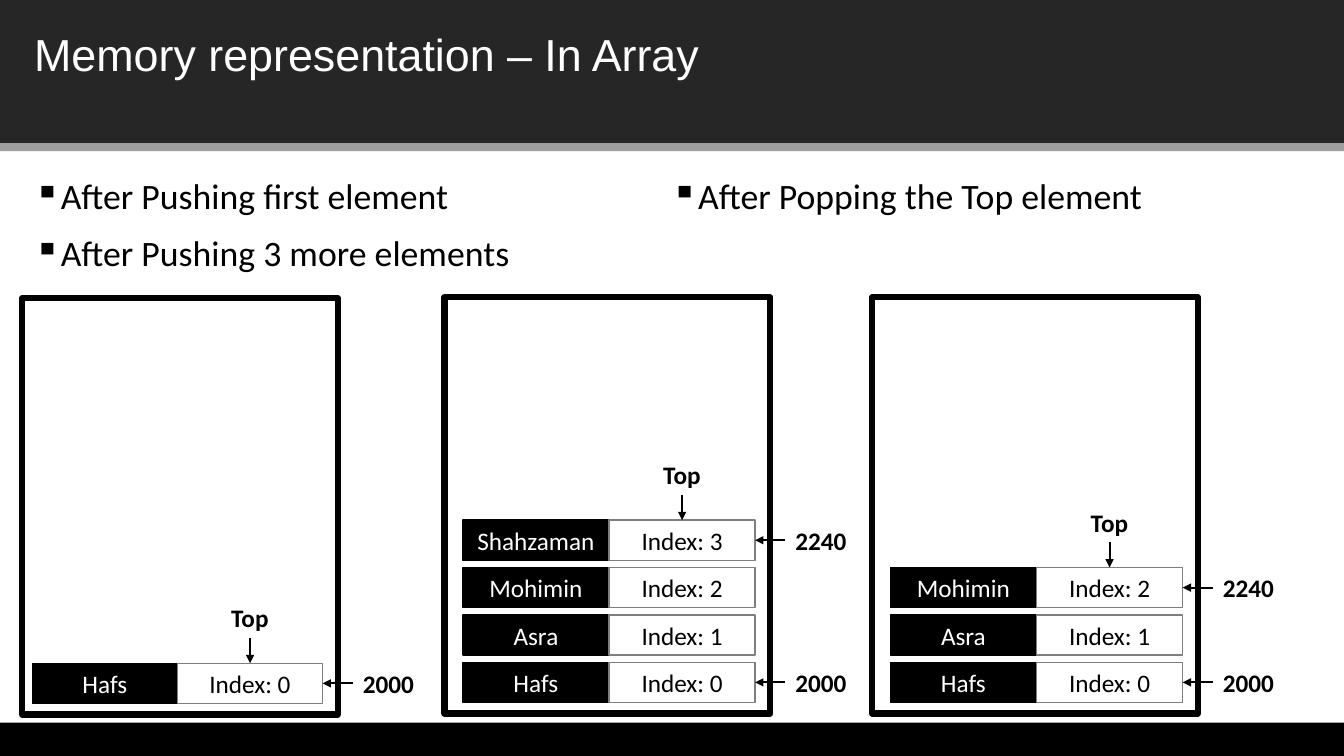
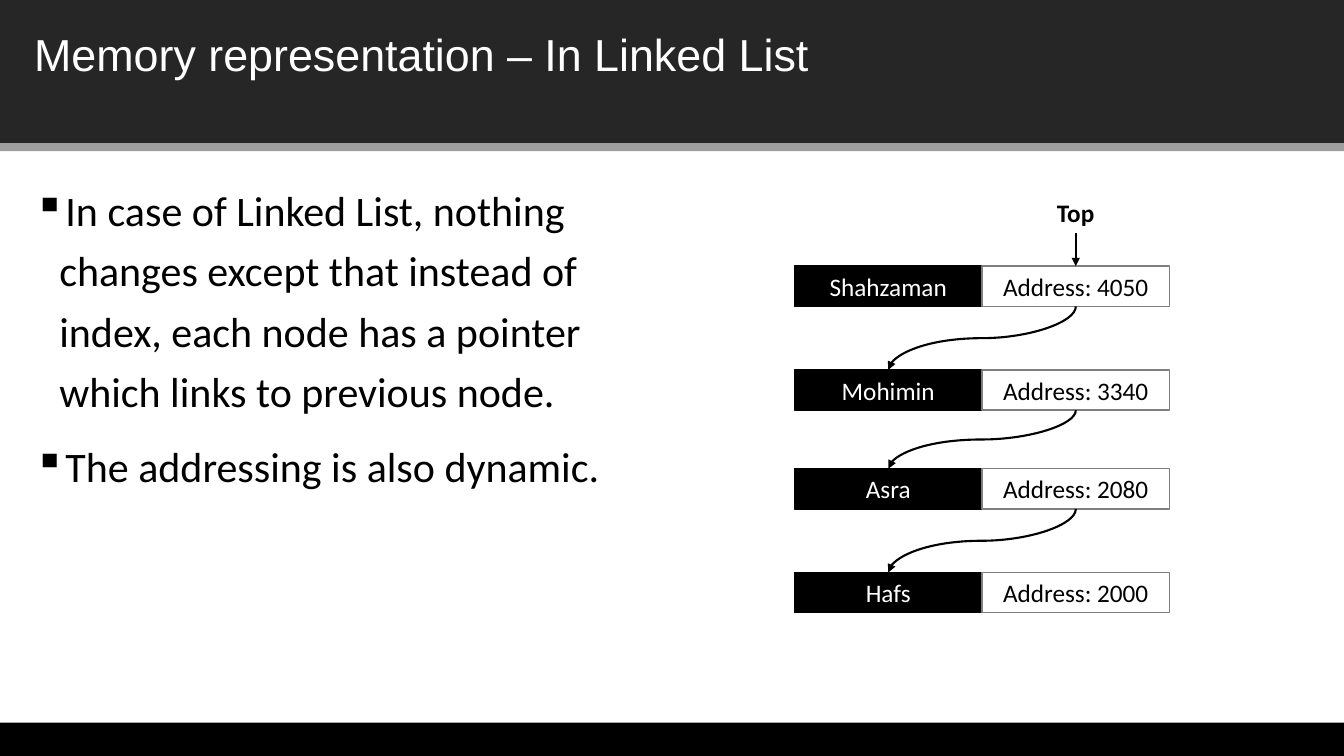
from dataclasses import dataclass

from lxml import etree
from pptx import Presentation
from pptx.dml.color import RGBColor
from pptx.enum.shapes import MSO_CONNECTOR, MSO_SHAPE
from pptx.enum.text import MSO_ANCHOR, PP_ALIGN
from pptx.oxml.ns import qn
from pptx.shapes.autoshape import Shape
from pptx.shapes.connector import Connector
from pptx.slide import Slide
from pptx.util import Inches, Pt

RECT = MSO_SHAPE.RECTANGLE
LINE, CURVE = MSO_CONNECTOR.STRAIGHT, MSO_CONNECTOR.CURVE
MID, CENTER = MSO_ANCHOR.MIDDLE, PP_ALIGN.CENTER
TOP, LEFT, BOTTOM, RIGHT = range(4)


@dataclass(frozen=True)
class Theme:
    black: RGBColor = RGBColor(0, 0, 0)
    white: RGBColor = RGBColor(255, 255, 255)
    dark: RGBColor = RGBColor(0x26, 0x26, 0x26)
    band: RGBColor = RGBColor(0x9F, 0x9F, 0x9F)
    edge: RGBColor = RGBColor(0x7F, 0x7F, 0x7F)
    head: str = "Arial"
    body: str = "Calibri"
    title: float = 32
    label: float = 18
    thin: float = 1
    arrow: float = 1.5
    frame: float = 4.5


@dataclass(frozen=True)
class Stack:
    """An array in memory: left edges, widths, and its names from the bottom up."""
    left: float
    top: float
    width: float
    cell: float
    side: float
    names: tuple[str, ...]
    tags: tuple[str, ...]


@dataclass(frozen=True)
class Node:
    name: str
    address: str
    top: float


T = Theme()
WIDE, HIGH = 13.33, 7.5
ROW, STEP = 0.4, 0.47

STACKS = (
    Stack(0.22, 2.96, 3.13, 0.32, 1.44, ("Hafs",), ("2000",)),
    Stack(4.41, 2.95, 3.23, 4.59, 1.45,
          ("Hafs", "Asra", "Mohimin", "Shahzaman"), ("2000", "2240")),
    Stack(8.65, 2.95, 3.23, 8.83, 1.45,
          ("Hafs", "Asra", "Mohimin"), ("2000", "2240")),
)
NODES = (
    Node("Shahzaman", "4050", 2.64),
    Node("Mohimin", "3340", 3.67),
    Node("Asra", "2080", 4.65),
    Node("Hafs", "2000", 5.68),
)


def write(par, text: str, size: float, color: RGBColor,
          font: str = T.body, bold: bool = False) -> None:
    run = par.add_run()
    run.text = text
    run.font.name, run.font.size, run.font.bold = font, Pt(size), bold
    run.font.color.rgb = color


def rect(slide: Slide, x: float, y: float, w: float, h: float,
         fill: RGBColor | None, edge: RGBColor | None = None,
         weight: float = T.thin) -> Shape:
    box = slide.shapes.add_shape(RECT, Inches(x), Inches(y), Inches(w), Inches(h))
    box.shadow.inherit = False
    if fill is None:
        box.fill.background()
    else:
        box.fill.solid()
        box.fill.fore_color.rgb = fill
    if edge is None:
        box.line.fill.background()
    else:
        box.line.color.rgb = edge
        box.line.width = Pt(weight)
    return box


def text_box(slide: Slide, x: float, y: float, w: float, h: float,
             wrap: bool = True) -> Shape:
    box = slide.shapes.add_textbox(Inches(x), Inches(y), Inches(w), Inches(h))
    box.text_frame.word_wrap = wrap
    return box


def pair(slide: Slide, x: float, y: float, side: float,
         name: str, place: str) -> tuple[Shape, Shape]:
    """Draw a black name cell and, to its right, a white cell for its place."""
    cells = (
        rect(slide, x, y, side, ROW, T.black, T.black),
        rect(slide, x + side, y, side, ROW, T.white, T.edge),
    )
    for cell, text, color in zip(cells, (name, place), (T.white, T.black)):
        frame = cell.text_frame
        frame.word_wrap, frame.vertical_anchor = True, MID
        frame.paragraphs[0].alignment = CENTER
        write(frame.paragraphs[0], text, T.label, color)
    return cells


def join(slide: Slide, kind: MSO_CONNECTOR, start: Shape, out: int,
         end: Shape, into: int) -> Connector:
    """Draw an arrow from one side of a shape to a side of another."""
    link = slide.shapes.add_connector(kind, 0, 0, 0, 0)
    link.begin_connect(start, out)
    link.end_connect(end, into)
    link.line.color.rgb = T.black
    link.line.width = Pt(T.arrow)
    etree.SubElement(link.line._get_or_add_ln(), qn("a:tailEnd"), type="triangle")
    etree.SubElement(link._element.spPr, qn("a:effectLst"))
    return link


def curve(slide: Slide, start: Shape, end: Shape) -> None:
    """Draw an arrow that leaves downwards: a quarter turn of the usual curve."""
    link = join(slide, CURVE, start, BOTTOM, end, TOP)
    x, y, w, h = link.left, link.top, link.width, link.height
    link.left, link.top = x + (w - h) // 2, y + (h - w) // 2
    link.width, link.height = h, w
    turn = link._element.spPr.find(qn("a:xfrm"))
    turn.attrib.pop("flipH", None)
    turn.set("rot", "5400000")


def label(slide: Slide, x: float, y: float, w: float, text: str) -> Shape:
    box = text_box(slide, x, y, w, ROW, wrap=False)
    write(box.text_frame.paragraphs[0], text, T.label, T.black, bold=True)
    return box


def mark_top(slide: Slide, cell: Shape, mid: float, y: float) -> None:
    wide = 0.57
    tag = label(slide, mid - wide / 2, y, wide, "Top")
    join(slide, LINE, tag, BOTTOM, cell, TOP)


def bullets(box: Shape, texts: tuple[str, ...], size: float,
            pitch: float = 1) -> None:
    frame = box.text_frame
    for i, text in enumerate(texts):
        par = frame.add_paragraph() if i else frame.paragraphs[0]
        props = par._p.get_or_add_pPr()
        props.set("marL", str(Inches(0.25)))
        props.set("indent", str(Inches(-0.25)))
        etree.SubElement(props, qn("a:buChar"), char="▪")
        par.line_spacing = pitch
        par.space_before = Pt(10 if i else 0)
        write(par, text, size, T.black)


def base(deck, title: str) -> Slide:
    """Add a slide with the shared bands and title."""
    slide = deck.slides.add_slide(deck.slide_layouts[6])
    rect(slide, 0, 0, WIDE, 1.42, T.dark)
    rect(slide, 0, 1.42, WIDE, 0.08, T.band)
    rect(slide, 0, 7.17, WIDE, 0.33, T.black)
    box = text_box(slide, 0.24, 0.22, 12.84, 0.64)
    write(box.text_frame.paragraphs[0], title, T.title, T.white, T.head)
    return slide


def draw_stack(slide: Slide, stack: Stack) -> None:
    low = stack.top + 3.62
    cells = [
        pair(slide, stack.cell, low - i * STEP, stack.side, name, f"Index: {i}")[1]
        for i, name in enumerate(stack.names)
    ]
    rect(slide, stack.left, stack.top, stack.width, 4.13, None, T.black, T.frame)
    last = len(cells) - 1
    edge = stack.cell + 2 * stack.side
    for i, text in zip((0, last), stack.tags):
        tag = label(slide, edge + 0.3, low - i * STEP, 0.71, text)
        join(slide, LINE, tag, LEFT, cells[i], RIGHT)
    mark_top(slide, cells[last], edge - stack.side / 2, low - last * STEP - 0.65)


def array_slide(deck) -> None:
    slide = base(deck, "Memory representation – In Array")
    box = text_box(slide, 0.24, 1.68, 12.84, 1.13)
    box.text_frame._txBody.bodyPr.set("numCol", "2")
    bullets(box, (
        "After Pushing first element",
        "After Pushing 3 more elements",
        "After Popping the Top element",
    ), 25.5)
    for stack in STACKS:
        draw_stack(slide, stack)


def list_slide(deck) -> None:
    slide = base(deck, "Memory representation – In Linked List")
    bullets(text_box(slide, 0.24, 1.68, 6.43, 5.31), (
        "In case of Linked List, nothing changes except that instead of index, "
        "each node has a pointer which links to previous node.",
        "The addressing is also dynamic.",
    ), 30, 1.2)
    left, side = 7.88, 1.86
    pairs = [
        pair(slide, left, node.top, side, node.name, f"Address: {node.address}")
        for node in NODES
    ]
    for (_, start), (end, _) in zip(pairs, pairs[1:]):
        curve(slide, start, end)
    mark_top(slide, pairs[0][1], left + 1.5 * side, 1.91)


def main() -> None:
    deck = Presentation()
    deck.slide_width, deck.slide_height = Inches(WIDE), Inches(HIGH)
    array_slide(deck)
    list_slide(deck)
    deck.save("out.pptx")


if __name__ == "__main__":
    main()
